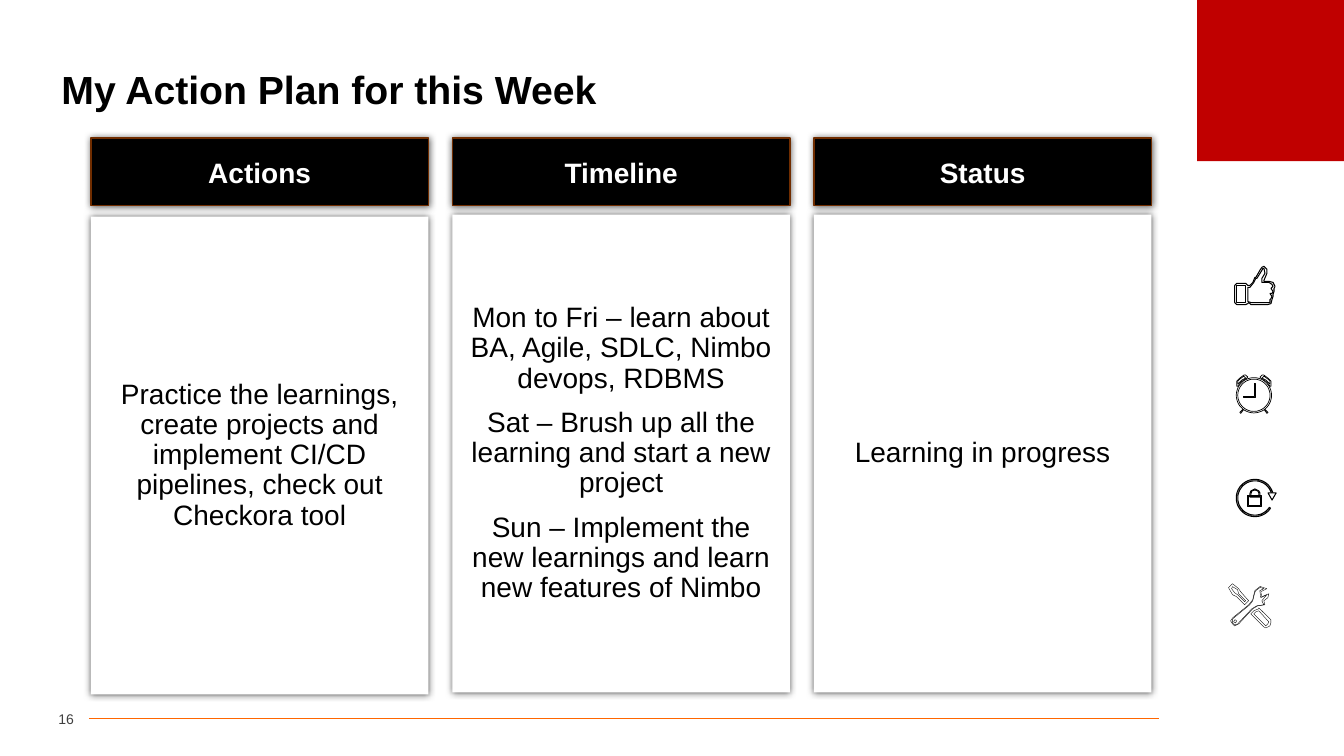
"""Build the weekly action plan slide."""
from math import cos, radians, sin

from lxml.etree import SubElement
from pptx import Presentation
from pptx.dml.color import RGBColor
from pptx.enum.shapes import MSO_CONNECTOR as Connector, MSO_SHAPE as Shape
from pptx.enum.text import MSO_ANCHOR as Anchor, PP_ALIGN as Align
from pptx.oxml.ns import qn
from pptx.util import Cm, Pt

BLACK = RGBColor(0x00, 0x00, 0x00)
WHITE = RGBColor(0xFF, 0xFF, 0xFF)
RED = RGBColor(0xC0, 0x00, 0x00)
ORANGE = RGBColor(0xFF, 0x66, 0x00)
BROWN = RGBColor(0x70, 0x2D, 0x00)
GREY = RGBColor(0x40, 0x40, 0x40)

CARDS = [
    ("Actions", 5.46, ["Practice the learnings, create projects and implement CI/CD "
                       "pipelines, check out Checkora tool"]),
    ("Timeline", 5.41, ["Mon to Fri – learn about BA, Agile, SDLC, Nimbo devops, RDBMS",
                        "Sat – Brush up all the learning and start a new project",
                        "Sun – Implement the new learnings and learn new features of Nimbo"]),
    ("Status", 5.41, ["Learning in progress"]),
]


def arc(radius, start, end, centre=0):
    """Return points along an arc, with angles in degrees."""
    angles = [radians(start + (end - start) * step / 60) for step in range(61)]
    return [(centre + radius * cos(angle), radius * sin(angle)) for angle in angles]


def mirror(contours):
    """Flip contours from left to right."""
    return [[(-x, y) for x, y in contour] for contour in contours]


BELL = [
    [(16, -9), (13, -13), (7, -17), (6, -18), (8, -20), (10, -20), (14, -17), (17, -14), (17, -9)],
    [(8, -17), (12, -15), (16, -11), (16, -14), (14, -16), (10, -19)],
]
FOOT = [[(13, 18), (10, 14), (10, 13), (14, 17)]]
THUMB = [
    [(20, -2), (21, -4), (19, -8), (15, -9), (10, -9), (10, -10), (13, -17), (13, -21),
     (10, -24), (8, -23), (6, -20), (2, -13), (1, -13), (-1, -8), (-4, -5), (-6, -5),
     (-8, -7), (-17, -7), (-19, -5), (-19, 12), (-17, 14), (-8, 14), (-6, 13), (-5, 12),
     (-3, 14), (14, 14), (17, 13), (18, 9), (19, 6), (19, 4), (20, 1)],
    [(-8, 12), (-17, 12), (-17, -5), (-8, -5)],
    [(18, -3), (17, -2), (19, 1), (18, 3), (16, 3), (18, 6), (17, 8), (16, 9), (16, 12),
     (-3, 12), (-6, 11), (-6, -3), (-4, -3), (0, -8), (2, -12), (3, -12), (8, -20),
     (9, -22), (10, -22), (11, -17), (8, -12), (8, -8), (15, -8), (18, -6), (19, -4)],
]
CLOCK = [
    BELL, mirror(BELL), FOOT, mirror(FOOT),
    [arc(17.5, 0, 360), arc(16, 0, 360)],
    [[(1, 2), (-10, 2), (-10, 1), (0, 1), (0, -12), (1, -12)]],
]
LOCK = [
    [arc(18.5, -3, -327, 1) + arc(17, -327, -3, 1)],
    [[(14, -5), (18, 2), (22, -5)]],
    [[(-4, -1), (-4, -4), (-3, -7), (1, -9), (5, -7), (6, -5), (6, -1)],
     [(1, -8), (-2, -7), (-3, -4), (-3, -2), (5, -2), (5, -5), (4, -7)]],
    [[(-6, -2), (8, -2), (8, 8), (-6, 8)], [(-5, -1), (7, -1), (7, 7), (-5, 7)]],
]
TOOLS = [
    [[(15, 23), (13, 22), (0, 9), (3, 6), (8, 4), (8, 3), (20, 15), (20, 18), (19, 21)],
     [(15, 21), (17, 19), (18, 17), (8, 6), (5, 7), (3, 9)]],
    [[(-6, 0), (-14, -8), (-18, -10), (-22, -17), (-18, -21), (-12, -16), (-10, -13),
      (-2, -4), (-4, -2)],
     [(-16, -12), (-13, -10), (-6, -3), (-5, -4), (-12, -11), (-13, -15), (-18, -18),
      (-19, -16)]],
    [[(10, -18), (9, -18), (4, -14), (2, -5), (-2, 0), (-18, 13), (-20, 16), (-18, 19),
      (-16, 21), (-12, 19), (2, 4), (7, 1), (14, 0), (13, -4), (17, -7), (18, -11),
      (11, -8), (10, -13), (16, -16)],
     [(10, -17), (13, -16), (9, -14), (10, -7), (16, -10), (11, -4), (13, 0), (6, 1),
      (1, 4), (-13, 19), (-16, 20), (-18, 18), (-18, 14), (-1, 0), (2, -4), (4, -12),
      (5, -14), (9, -17)],
     [(-15, 18), (-17, 17), (-16, 15), (-15, 15), (-14, 16)]],
]


def write_text(frame, texts, size=20, color=BLACK, bold=False, align=Align.CENTER,
               leading=None, before=0):
    """Fill a text frame with one paragraph for each text."""
    frame.word_wrap = True
    frame.vertical_anchor = Anchor.MIDDLE
    for index, text in enumerate(texts):
        para = frame.add_paragraph() if index else frame.paragraphs[0]
        para.alignment, para.line_spacing, para.space_before = align, leading, Pt(before)
        span = para.add_run()
        span.text = text
        span.font.name, span.font.size, span.font.bold = "Arial", Pt(size), bold
        span.font.color.rgb = color


class PlanSlide:
    """Hold the current page and draw its elements."""

    def __init__(self, page):
        """Keep the page's shapes."""
        self.shapes = page.shapes

    def paint(self, shape, fill, line=None, width=1):
        """Set a shape's fill and outline and clear its shadow."""
        shape.shadow.inherit = False
        shape.fill.solid()
        shape.fill.fore_color.rgb = fill
        if line is None:
            shape.line.fill.background()
        else:
            shape.line.color.rgb, shape.line.width = line, Pt(width)

    def block(self, left, top, width, height, fill, line=None):
        """Draw a rectangle."""
        box = self.shapes.add_shape(Shape.RECTANGLE, Cm(left), Cm(top), Cm(width), Cm(height))
        self.paint(box, fill, line)
        return box

    def card(self, left, top, height, fill, texts, line=None, **style):
        """Draw a rectangle with text and a soft shadow."""
        box = self.block(left, top, 8.51, height, fill, line)
        effects = box.element.spPr.find(qn("a:effectLst"))
        shadow = SubElement(effects, qn("a:outerShdw"), blurRad=str(Pt(5)), dist="0",
                            dir="0", algn="ctr", rotWithShape="0")
        tint = SubElement(shadow, qn("a:srgbClr"), val=str(BLACK))
        SubElement(tint, qn("a:alpha"), val="60000")
        write_text(box.text_frame, texts, **style)

    def label(self, left, top, width, height, text, inset=0.25, **style):
        """Place a line of text."""
        box = self.shapes.add_textbox(Cm(left), Cm(top), Cm(width), Cm(height))
        box.text_frame.margin_left = box.text_frame.margin_right = Cm(inset)
        write_text(box.text_frame, [text], **style)

    def rule(self, left, right, height):
        """Draw the horizontal footer line."""
        line = self.shapes.add_connector(Connector.STRAIGHT, Cm(left), Cm(height),
                                         Cm(right), Cm(height))
        line.line.color.rgb, line.line.width = ORANGE, Pt(0.5)
        SubElement(line.element.spPr, qn("a:effectLst"))

    def icon(self, x, y, parts, width):
        """Draw a grouped icon whose points are hundredths of an inch from its centre."""
        group = self.shapes.add_group_shape()
        disc = group.shapes.add_shape(Shape.OVAL, Cm(x - 1.14), Cm(y - 1.14), Cm(2.28), Cm(2.28))
        self.paint(disc, WHITE)
        for part in parts:
            contours = [[(10 * px, 10 * py) for px, py in contour] for contour in part]
            builder = group.shapes.build_freeform(*contours[0][0], scale=Cm(2.54) / 1000)
            builder.add_line_segments(contours[0][1:])
            for contour in contours[1:]:
                builder.move_to(*contour[0])
                builder.add_line_segments(contour[1:])
            self.paint(builder.convert_to_shape(Cm(x), Cm(y)), WHITE, BLACK, width)


def main():
    """Assemble and save the deck."""
    deck = Presentation()
    deck.slide_width, deck.slide_height = Cm(33.87), Cm(19.05)
    plan = PlanSlide(deck.slides.add_slide(deck.slide_layouts[6]))
    plan.rule(2.24, 29.21, 18.11)
    plan.block(30.17, 0, 3.7, 4.06, RED)
    plan.label(1.3, 1.32, 31.27, 1.98, "My Action Plan for this Week", size=28, bold=True,
               align=Align.LEFT, leading=0.9)
    plan.label(0.84, 17.75, 1.02, 0.74, "16", inset=0, size=10, color=GREY, align=Align.RIGHT)
    lefts = [2.29 + 9.11 * column for column in range(len(CARDS))]
    for left, (_, top, texts) in zip(lefts, CARDS):
        plan.card(left, top, 12.04, WHITE, texts, leading=0.9, before=10)
    for left, (heading, _, _) in zip(lefts, CARDS):
        plan.card(left, 3.48, 1.7, BLACK, [heading], line=BROWN, color=WHITE, bold=True)
    plan.icon(31.6, 7.32, [THUMB], 0.75)
    plan.icon(31.6, 9.96, CLOCK, 0.5)
    plan.icon(31.6, 12.55, LOCK, 0.75)
    plan.icon(31.52, 15.24, TOOLS, 0.25)
    deck.save("out.pptx")


if __name__ == "__main__":
    main()
